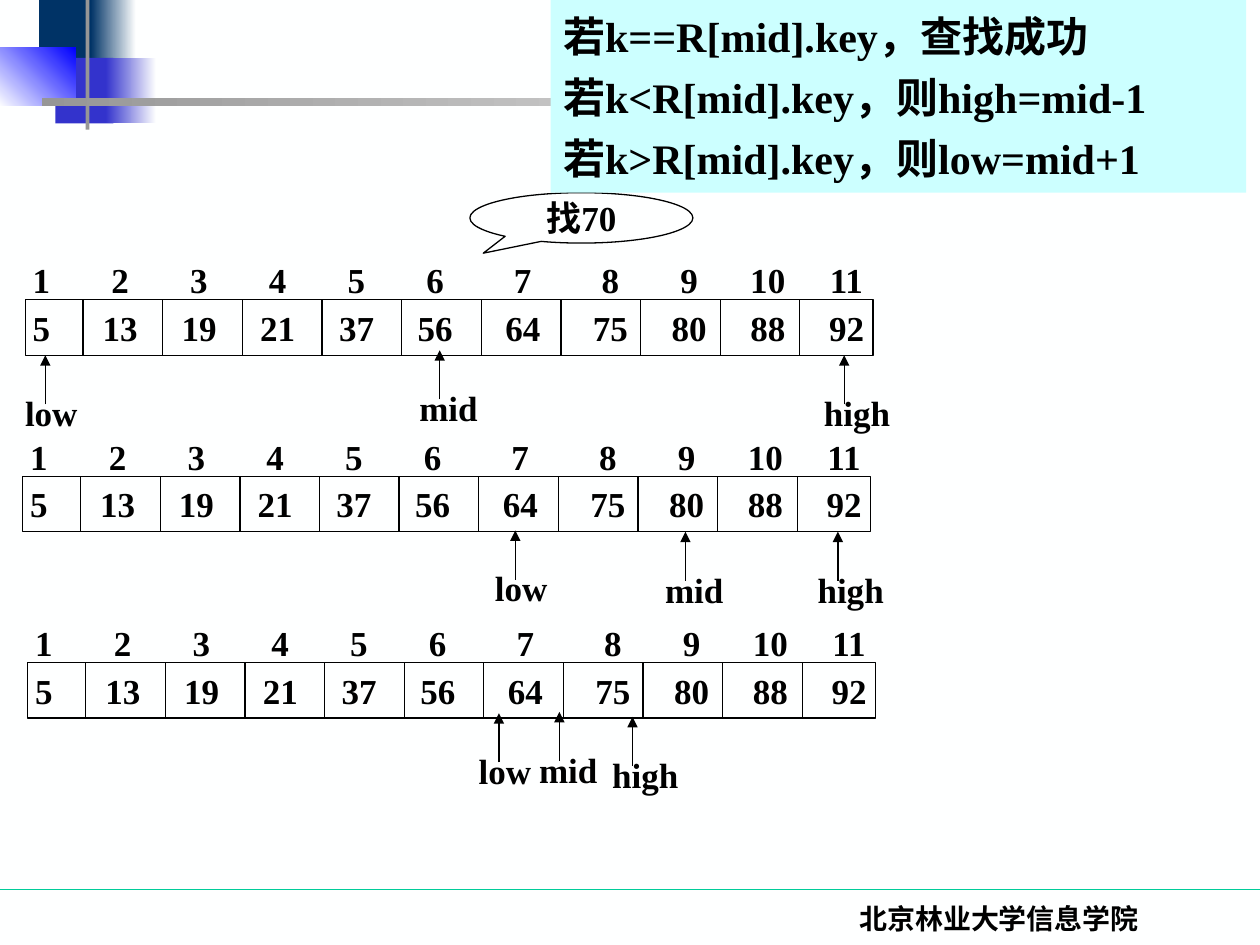
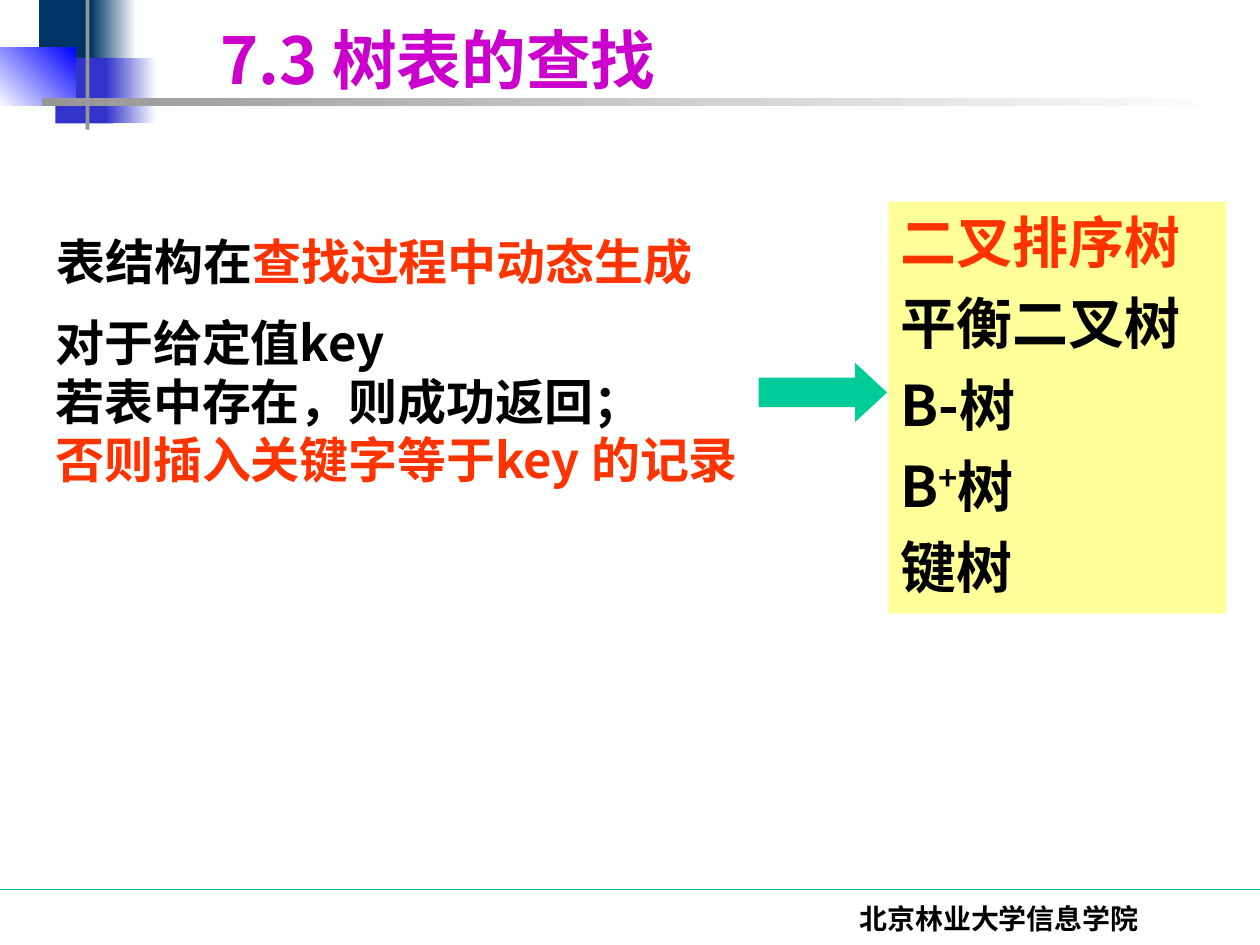
from lxml.etree import SubElement as Sub
from pptx import Presentation
from pptx.dml.color import RGBColor as Rgb
from pptx.enum.shapes import MSO_CONNECTOR as Conn, MSO_SHAPE as Kind
from pptx.enum.text import MSO_ANCHOR as Anchor, PP_ALIGN as Align
from pptx.oxml.ns import qn
from pptx.util import Inches, Pt

HUES = {
    "paper": "FEFFFF", "ink": "000000", "navy": "003366", "blue": "3333CC",
    "bright": "0000FF", "grey": "969696", "green": "00CC99", "aqua": "CCFFFF",
    "cream": "FFFF99", "plum": "CC00CC", "red": "FF3300",
}
HUES = {name: Rgb.from_string(code) for name, code in HUES.items()}
SERIF, SANS = "Times New Roman", "Noto Sans CJK SC"

deck = Presentation()
deck.slide_width, deck.slide_height = Inches(10), Inches(7.5)
COL = deck.slide_width / 100
ROW = deck.slide_height / 75


def draw(slide, kind, box, fill=None, fade=None, angle=0, line=None):
    left, top, wide, high = box
    shape = slide.shapes.add_shape(
        kind, round(left * COL), round(top * ROW), round(wide * COL), round(high * ROW))
    shape.shadow.inherit = False
    if fade:
        shape.fill.gradient()
        shape.fill.gradient_angle = angle
        for stop, hue in zip(shape.fill.gradient_stops, (fill, fade)):
            stop.color.rgb = HUES[hue]
    elif fill:
        shape.fill.solid()
        shape.fill.fore_color.rgb = HUES[fill]
    else:
        shape.fill.background()
    if line:
        shape.line.color.rgb = HUES[line]
        shape.line.width = Pt(0.75)
    else:
        shape.line.fill.background()
    return shape


def write(shape, lines, size, face=SERIF, hue="ink", align=Align.LEFT,
          anchor=Anchor.TOP, gap=0, wrap=True, stops=()):
    frame = shape.text_frame
    frame.word_wrap = wrap
    frame.vertical_anchor = anchor
    for num, parts in enumerate(lines):
        para = frame.add_paragraph() if num else frame.paragraphs[0]
        para.alignment = align
        para.space_before = Pt(gap if num else 0)
        if stops:
            tabs = Sub(para._p.get_or_add_pPr(), qn("a:tabLst"))
            for stop in stops:
                Sub(tabs, qn("a:tab"), pos=str(round(stop * COL)), algn="ctr")
        for part in [parts] if isinstance(parts, str) else parts:
            run = para.add_run()
            run.text = part
            run.font.size, run.font.bold, run.font.name = Pt(size), True, face
            run.font.color.rgb = HUES[hue]
            Sub(run._r.get_or_add_rPr(), qn("a:ea"), typeface=SANS)
    return frame


BANDS = [
    ((3.1, 0, 4.8, 5.2), "navy", None, 0),
    ((7.2, 0, 3.6, 5.2), "navy", "paper", 0),
    ((4.4, 4.6, 4.6, 5.2), "blue", None, 0),
    ((8.4, 4.6, 4, 5.2), "blue", "paper", 0),
    ((-0.1, 3.8, 6.1, 4.6), "paper", "bright", 45),
    ((6.8, -1.2, 0.3, 11.5), "grey", None, 0),
    ((3.3, 7.8, 95.1, 0.6), "grey", "paper", 0),
]
lines = []
slides = [deck.slides.add_slide(deck.slide_layouts[6]) for _ in range(2)]
for slide in slides:
    slide.background.fill.solid()
    slide.background.fill.fore_color.rgb = HUES["paper"]
    for box, fill, fade, angle in BANDS:
        draw(slide, Kind.RECTANGLE, box, fill, fade, angle)
    foot = draw(slide, Kind.RECTANGLE, (58.6, 71.1, 41.4, 5))
    write(foot, ["北京林业大学信息学院"], 16, align=Align.CENTER)
    lines.append((slide, 0, 70.6, 100, 70.6, "green", False))

find, tree = slides

KEYS = [5, 13, 19, 21, 37, 56, 64, 75, 80, 88, 92]
STOPS = [0.7 + 6.25 * i + 0.7 * min(max(i - 5, 0), 2) for i in range(1, len(KEYS))]
WIDE = {"low": 6.1, "mid": 6.6, "high": 7.2}
STEPS = [
    (2, 23.8, {"low": (3.6, 28.2), "high": (67, 28.2), "mid": (34.9, 27.8)}),
    (1.8, 37.8, {"low": (40.9, 42.1), "high": (66.5, 42.2), "mid": (54.4, 42.2)}),
    (2.2, 52.6, {"low": (39.6, 56.6), "high": (50.2, 56.9), "mid": (44.4, 56.5)}),
]
for left, top, marks in STEPS:
    heads = draw(find, Kind.RECTANGLE, (left - 0.4, top - 3.8, 68.1, 4.4))
    cells = draw(find, Kind.RECTANGLE, (left, top, 67.3, 4.4), line="ink")
    for shape, nums in ((heads, range(1, len(KEYS) + 1)), (cells, KEYS)):
        frame = write(shape, ["\t".join(map(str, nums))], 20,
                      anchor=Anchor.MIDDLE, stops=STOPS)
        frame.margin_left = round((1 if shape is heads else 0.6) * COL)
        frame.margin_right = 0
    for i in range(len(KEYS) - 1):
        x = left + 4.6 + 6.32 * i
        lines.append((find, x, top, x, top + 4.4, "ink", False))
    for name, (x, y) in marks.items():
        lines.append((find, x, y + 3.9, x, y, "ink", True))
        mark = draw(find, Kind.RECTANGLE, (x - 2.6, y + 2.4, WIDE[name], 4.4))
        write(mark, [name], 20, wrap=False)

call = draw(find, Kind.OVAL_CALLOUT, (37.3, 15.3, 17.7, 4), line="ink")
call.adjustments[0], call.adjustments[1] = -0.44, 0.7
write(call, ["找70"], 20, align=Align.CENTER, anchor=Anchor.MIDDLE, wrap=False)
rules = draw(find, Kind.RECTANGLE, (43.7, 0, 55.2, 15.3), "aqua")
write(rules, ["若k==R[mid].key，查找成功", "若k<R[mid].key，则high=mid-1",
              "若k>R[mid].key，则low=mid+1"], 24, anchor=Anchor.MIDDLE, gap=6)

title = draw(tree, Kind.RECTANGLE, (16.5, 1.3, 67.3, 7.5))
frame = write(title, ["7.3 树表的查找"], 37, SANS, "plum", anchor=Anchor.MIDDLE)
frame.paragraphs[0].line_spacing = 0.9

lead = draw(tree, Kind.RECTANGLE, (3.5, 17.9, 52.5, 5.7))
frame = write(lead, [("表结构在", "查找过程中动态生成")], 28, SANS, wrap=False)
frame.paragraphs[0].runs[1].font.color.rgb = HUES["red"]

body = draw(tree, Kind.RECTANGLE, (3.4, 24.3, 56.9, 19.7))
frame = write(body, ["对于给定值key", "若表中存在，则成功返回；",
                     "否则插入关键字等于key 的记录"], 28, SANS)
frame.paragraphs[2].runs[0].font.color.rgb = HUES["red"]

kinds = draw(tree, Kind.RECTANGLE, (70.5, 16, 26.8, 32.7), "cream")
frame = write(kinds, ["二叉排序树", "平衡二叉树", "B-树", ("B", "+", "树"), "键树"],
              32, SANS, gap=8)
frame.paragraphs[0].runs[0].font.color.rgb = HUES["red"]
frame.paragraphs[3].runs[1]._r.get_or_add_rPr().set("baseline", "30000")
arrow = draw(tree, Kind.RIGHT_ARROW, (60.2, 28.8, 10.2, 4.7), "green")
arrow.adjustments[0], arrow.adjustments[1] = 0.5, 0.54

for slide, x1, y1, x2, y2, hue, tip in lines:
    link = slide.shapes.add_connector(
        Conn.STRAIGHT, round(x1 * COL), round(y1 * ROW), round(x2 * COL), round(y2 * ROW))
    link.line.color.rgb = HUES[hue]
    link.line.width = Pt(0.75)
    if tip:
        Sub(link.line._get_or_add_ln(), qn("a:tailEnd"), type="triangle")
    Sub(link._element.spPr, qn("a:effectLst"))

deck.save("out.pptx")
